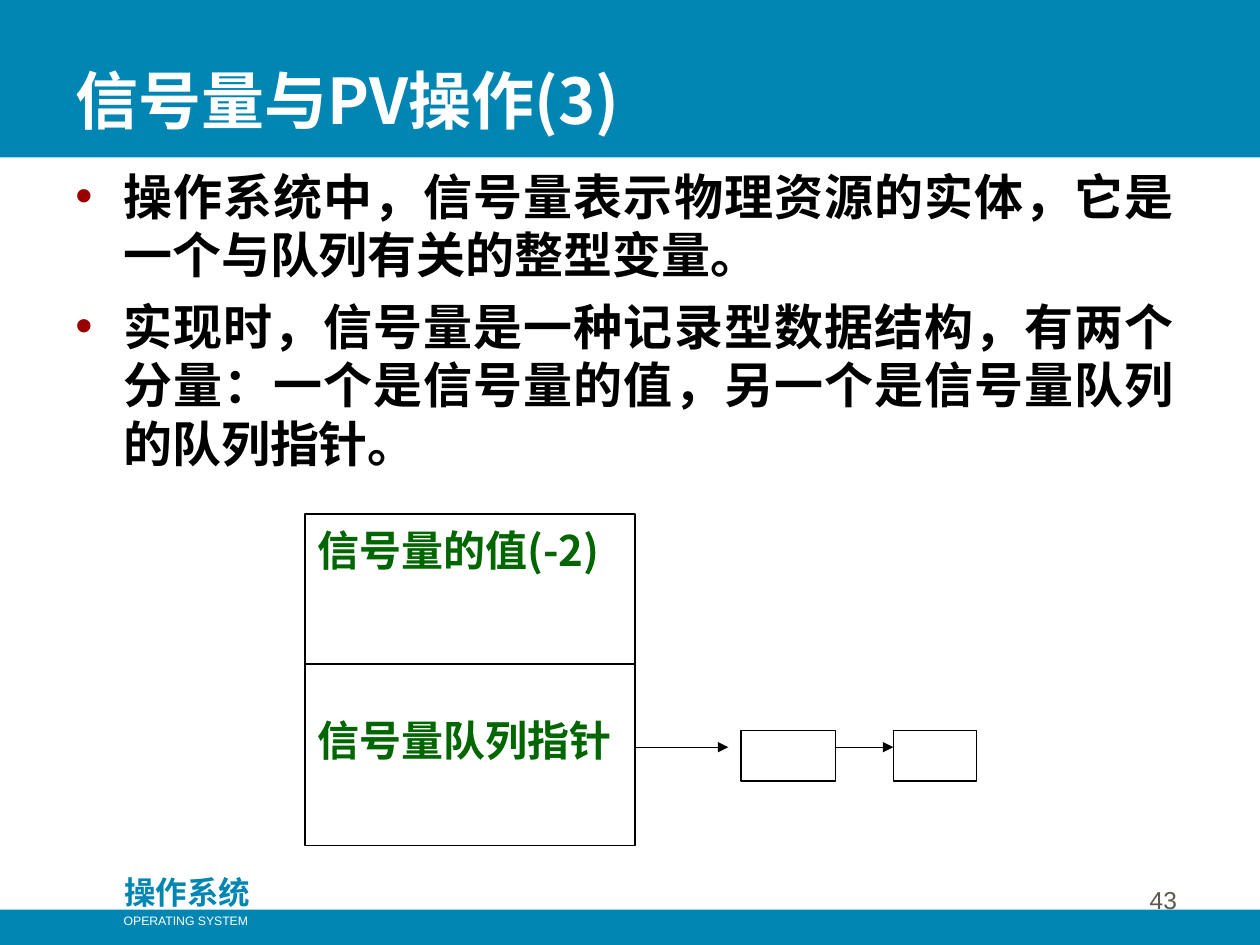
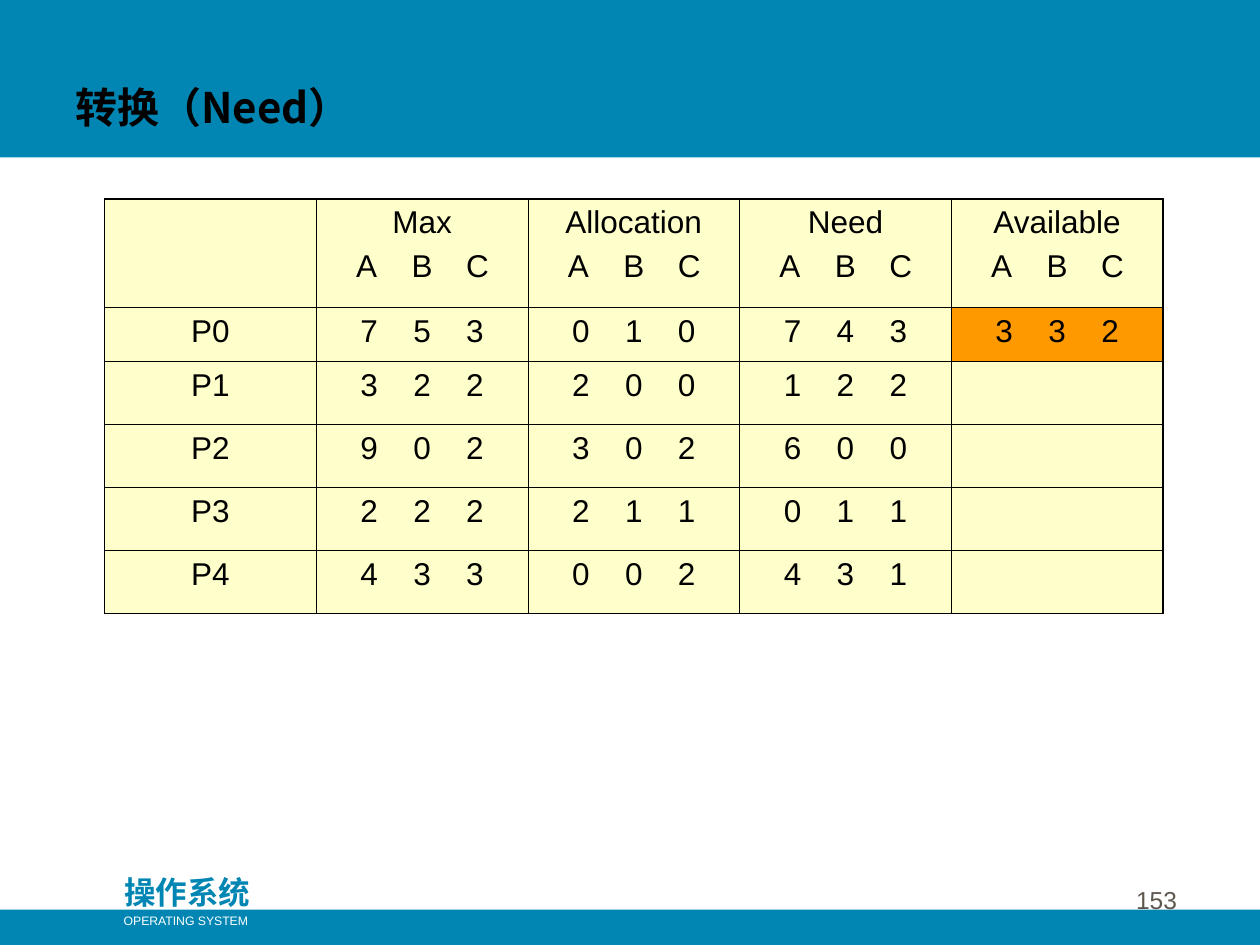
from lxml.etree import SubElement
from pptx import Presentation
from pptx.dml.color import RGBColor
from pptx.enum.shapes import MSO_CONNECTOR, MSO_SHAPE
from pptx.enum.text import MSO_ANCHOR, PP_ALIGN
from pptx.oxml.ns import qn
from pptx.util import Inches, Pt

COLORS = {
    "band": "0186B3",
    "white": "FFFFFF",
    "black": "000000",
    "bullet": "990000",
    "label": "006600",
    "number": "5E574E",
    "cell": "FFFFCC",
    "highlight": "FF9900",
}
CHINESE = "Noto Sans CJK SC"
LATIN = "Arial"
CHINESE_LEADING = 1.2

RESOURCES = tuple("ABC")
HEADINGS = ["Max", "Allocation", "Need", "Available"]
PROCESSES = [
    ("P0", "753", "010", "743", "332"),
    ("P1", "322", "200", "122", ""),
    ("P2", "902", "302", "600", ""),
    ("P3", "222", "211", "011", ""),
    ("P4", "433", "002", "431", ""),
]


def color(name):
    return RGBColor.from_string(COLORS[name])


def add_solid_fill(parent, name):
    fill = SubElement(parent, qn("a:solidFill"))
    SubElement(fill, qn("a:srgbClr"), val=COLORS[name])


class SlideBuilder:
    def __init__(self, deck):
        self.deck = deck
        self.page = None

    def new_page(self, number):
        """Start a slide with the bands, the course name and the page number."""
        self.page = self.deck.slides.add_slide(self.deck.slide_layouts[6])
        self.rectangle(0, 0, 10, 1.25, fill="band")
        self.rectangle(0, 7.22, 10, 0.28, fill="band")
        self.text(0.83, 6.88, 1.31, 0.4, ["操作系统"], 18, "band", align=PP_ALIGN.CENTER)
        self.text(0.88, 7.2, 1.19, 0.22, ["OPERATING SYSTEM"], 7, "white", LATIN,
                  align=PP_ALIGN.CENTER, wrap=False)
        self.text(7.36, 6.81, 2.08, 0.5, [str(number)], 14, "number", LATIN,
                  align=PP_ALIGN.RIGHT, anchor=MSO_ANCHOR.BOTTOM)

    def rectangle(self, left, top, width, height, fill=None, line=None):
        box = self.page.shapes.add_shape(
            MSO_SHAPE.RECTANGLE, Inches(left), Inches(top), Inches(width), Inches(height))
        box.shadow.inherit = False
        if fill:
            box.fill.solid()
            box.fill.fore_color.rgb = color(fill)
        else:
            box.fill.background()
        if line:
            box.line.color.rgb = color(line)
            box.line.width = Pt(0.75)
        else:
            box.line.fill.background()
        return box

    def text(self, left, top, width, height, lines, size, tint, font=CHINESE, **style):
        box = self.page.shapes.add_textbox(
            Inches(left), Inches(top), Inches(width), Inches(height))
        self.paragraphs(box, lines, size, tint, font, **style)

    def paragraphs(self, box, lines, size, tint, font=CHINESE, wrap=True,
                   align=PP_ALIGN.LEFT, anchor=MSO_ANCHOR.TOP, gap=0, bullet=False):
        frame = box.text_frame
        frame.word_wrap = wrap
        frame.vertical_anchor = anchor
        for index, line in enumerate(lines):
            para = frame.add_paragraph() if index else frame.paragraphs[0]
            para.alignment = align
            para.space_before = Pt(gap if index else 0)
            if font == CHINESE:
                para.line_spacing = Pt(size * CHINESE_LEADING)
            if bullet:
                self.bullet(para)
            self.span(para, line, size, tint, font)

    def bullet(self, para):
        props = para._p.get_or_add_pPr()
        props.set("marL", str(Inches(0.38)))
        props.set("indent", str(Inches(-0.38)))
        tint = SubElement(props, qn("a:buClr"))
        SubElement(tint, qn("a:srgbClr"), val=COLORS["bullet"])
        SubElement(props, qn("a:buFont"), typeface=LATIN)
        SubElement(props, qn("a:buChar"), char="•")

    def span(self, para, words, size, tint, font):
        span = para.add_run()
        span.text = words
        span.font.size = Pt(size)
        span.font.bold = font == CHINESE
        span.font.color.rgb = color(tint)
        span.font.name = font
        SubElement(span._r.get_or_add_rPr(), qn("a:ea"), typeface=font)

    def line(self, start, end, y, arrow=False):
        line = self.page.shapes.add_connector(
            MSO_CONNECTOR.STRAIGHT, Inches(start), Inches(y), Inches(end), Inches(y))
        line.line.color.rgb = color("black")
        line.line.width = Pt(0.75)
        props = line._element.spPr
        if arrow:
            SubElement(props.get_or_add_ln(), qn("a:tailEnd"), type="triangle")
        SubElement(props, qn("a:effectLst"))

    def table(self, left, top, column_width, heights, rows, highlighted):
        """Draw rows of cells, each a list of lines; a tuple line is spread on tabs."""
        columns = len(rows[0])
        grid = self.page.shapes.add_table(
            len(rows), columns, Inches(left), Inches(top),
            Inches(column_width * columns), Inches(sum(heights))).table
        grid.first_row = grid.horz_banding = False
        for column in grid.columns:
            column.width = Inches(column_width)
        for row_index, (height, row) in enumerate(zip(heights, rows)):
            grid.rows[row_index].height = Inches(height)
            for column_index, lines in enumerate(row):
                cell = grid.cell(row_index, column_index)
                outer = {"L": column_index == 0, "R": column_index == columns - 1,
                         "T": row_index == 0, "B": row_index == len(rows) - 1}
                self.borders(cell, outer)
                cell.fill.solid()
                marked = (row_index, column_index) == highlighted
                cell.fill.fore_color.rgb = color("highlight" if marked else "cell")
                self.cell_lines(cell, lines, column_width / 2 - 0.1)

    def borders(self, cell, outer):
        props = cell._tc.get_or_add_tcPr()
        for side, thick in outer.items():
            width = Pt(1.08 if thick else 0.45)
            add_solid_fill(SubElement(props, qn(f"a:ln{side}"), w=str(width)), "black")

    def cell_lines(self, cell, lines, middle):
        frame = cell.text_frame
        for index, line in enumerate(lines):
            para = frame.add_paragraph() if index else frame.paragraphs[0]
            para.space_before = Pt(4.5 if index else 0)
            if isinstance(line, tuple):
                para.alignment = PP_ALIGN.LEFT
                step = 0.44 if line == RESOURCES else 0.42
                stops = SubElement(para._p.get_or_add_pPr(), qn("a:tabLst"))
                for offset in (-step, 0, step):
                    SubElement(stops, qn("a:tab"), pos=str(Inches(middle + offset)), algn="ctr")
                line = "".join(f"\t{item}" for item in line)
            else:
                para.alignment = PP_ALIGN.CENTER
            self.span(para, line, 18, "black", LATIN)


def semaphore_page(builder):
    builder.new_page(43)
    builder.text(0.5, 0.31, 8.75, 0.83, ["信号量与PV操作(3)"], 36, "white",
                 anchor=MSO_ANCHOR.BOTTOM)
    builder.text(0.5, 1.27, 8.92, 6.08, [
        "操作系统中，信号量表示物理资源的实体，它是一个与队列有关的整型变量。",
        "实现时，信号量是一种记录型数据结构，有两个分量：一个是信号量的值，"
        "另一个是信号量队列的队列指针。",
    ], 28, "black", align=PP_ALIGN.JUSTIFY, gap=7, bullet=True)

    left, right, arrow_y = 2.42, 5.04, 5.93
    record = builder.rectangle(left, 4.08, right - left, 2.63, line="black")
    record.text_frame.margin_top = Inches(0.08)
    builder.paragraphs(record, ["信号量的值(-2)", "信号量队列指针"], 24, "label",
                       align=PP_ALIGN.JUSTIFY, gap=80)
    builder.line(left, right, 5.27)
    builder.line(right, 5.78, arrow_y, arrow=True)
    builder.rectangle(5.88, 5.8, 0.75, 0.4, line="black")
    builder.line(6.63, 7.09, arrow_y, arrow=True)
    builder.rectangle(7.09, 5.8, 0.66, 0.4, line="black")


def need_page(builder):
    builder.new_page(153)
    rows = [[[]] + [[heading, RESOURCES] for heading in HEADINGS]]
    for process, *amounts in PROCESSES:
        rows.append([[process]] + [[tuple(amount)] if amount else [] for amount in amounts])
    builder.table(0.83, 1.58, 1.68, [0.86, 0.43] + [0.5] * 4, rows, highlighted=(1, 4))
    builder.text(0.5, 0.6, 3.33, 0.5, ["转换（Need）"], 24, "black")


def main():
    deck = Presentation()
    deck.slide_width = Inches(10)
    deck.slide_height = Inches(7.5)
    builder = SlideBuilder(deck)
    semaphore_page(builder)
    need_page(builder)
    deck.save("out.pptx")


if __name__ == "__main__":
    main()
